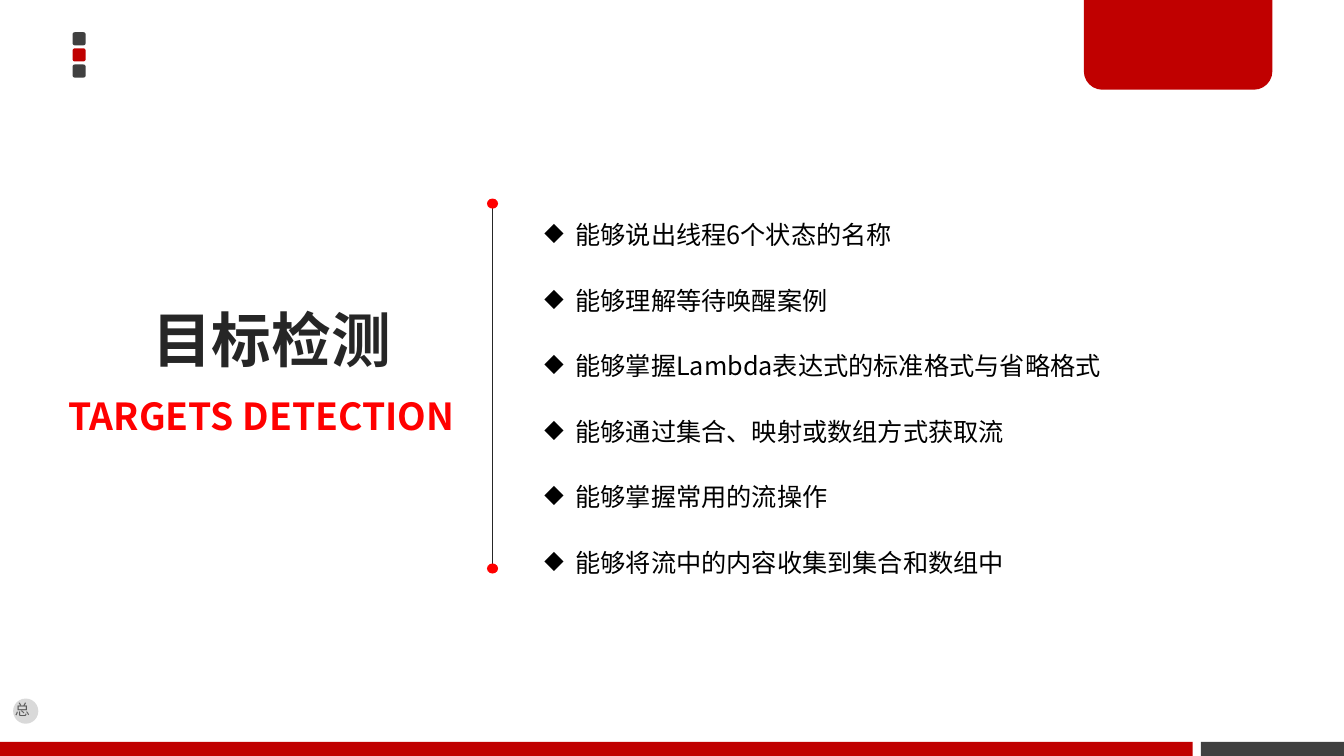
from lxml import etree
from pptx import Presentation
from pptx.dml.color import RGBColor
from pptx.enum.shapes import MSO_CONNECTOR, MSO_SHAPE
from pptx.enum.text import MSO_ANCHOR, PP_ALIGN
from pptx.oxml.ns import qn
from pptx.util import Inches, Pt

RECTANGLE, ROUNDED, OVAL = MSO_SHAPE.RECTANGLE, MSO_SHAPE.ROUNDED_RECTANGLE, MSO_SHAPE.OVAL
TAB = MSO_SHAPE.ROUND_2_SAME_RECTANGLE
STRAIGHT = MSO_CONNECTOR.STRAIGHT
TOP, MIDDLE = MSO_ANCHOR.TOP, MSO_ANCHOR.MIDDLE
LEFT, CENTER = PP_ALIGN.LEFT, PP_ALIGN.CENTER

RED = RGBColor(0xC0, 0x00, 0x00)
BRIGHT_RED = RGBColor(0xFF, 0x00, 0x00)
DARK = RGBColor(0x40, 0x40, 0x40)
INK = RGBColor(0x26, 0x26, 0x26)
BLACK = RGBColor(0x00, 0x00, 0x00)
GREY = RGBColor(0x59, 0x59, 0x59)
PALE = RGBColor(0xD9, 0xD9, 0xD9)

HEADING_FONT, BODY_FONT = "Noto Sans CJK SC", "Noto Sans CJK JP"
WIDTH, HEIGHT = 13.33, 7.5
BAR_TOP, BAR_SPLIT, BAR_GAP = 7.36, 11.83, 0.08
RULE_X, RULE_TOP, RULE_BOTTOM = 4.88, 2.02, 5.64
GOALS = [
    "能够说出线程6个状态的名称",
    "能够理解等待唤醒案例",
    "能够掌握Lambda表达式的标准格式与省略格式",
    "能够通过集合、映射或数组方式获取流",
    "能够掌握常用的流操作",
    "能够将流中的内容收集到集合和数组中",
]


def add_block(page, kind, left, top, width, height, color):
    block = page.shapes.add_shape(kind, *map(Inches, (left, top, width, height)))
    block.shadow.inherit = False
    block.fill.solid()
    block.fill.fore_color.rgb = color
    block.line.fill.background()
    return block


def add_rule(page, x, top, bottom):
    rule = page.shapes.add_connector(STRAIGHT, *map(Inches, (x, top, x, bottom)))
    rule.line.color.rgb = INK
    rule.line.width = Pt(0.75)
    etree.SubElement(rule._element.spPr, qn("a:effectLst"))


def style_paragraph(para, font_name, size, color, bold=False):
    font = para.font
    font.name, font.size, font.bold = font_name, Pt(size), bold
    font.color.rgb = color
    defaults = para._p.pPr.find(qn("a:defRPr"))
    etree.SubElement(defaults, qn("a:ea")).set("typeface", font_name)


def add_bullet(para, indent):
    props = para._p.get_or_add_pPr()
    props.set("marL", str(Inches(indent)))
    props.set("indent", str(-Inches(indent)))
    etree.SubElement(props, qn("a:buChar")).set("char", "◆")


def place_text(box, left, top, width, height, anchor=TOP):
    box.left, box.top, box.width, box.height = map(Inches, (left, top, width, height))
    frame = box.text_frame
    frame.word_wrap = True
    frame.vertical_anchor = anchor
    return frame


def add_label(page, text, area, size, color, anchor=TOP, bold=False):
    frame = place_text(page.shapes.add_textbox(0, 0, 0, 0), *area, anchor)
    para = frame.paragraphs[0]
    para.text = text
    para.alignment = LEFT
    style_paragraph(para, HEADING_FONT, size, color, bold)


def add_title(page, text):
    frame = place_text(page.shapes.title, 1.28, 2.81, 2.83, 1.18, MIDDLE)
    para = frame.paragraphs[0]
    para.text = text
    para.alignment = CENTER
    para.line_spacing = 0.9
    style_paragraph(para, HEADING_FONT, 42.6, INK, True)


def add_goals(page, goals):
    frame = place_text(page.shapes.add_textbox(0, 0, 0, 0), 5.3, 1.78, 6.3, 4.04)
    for index, goal in enumerate(goals):
        para = frame.paragraphs[0] if index == 0 else frame.add_paragraph()
        para.text = goal
        para.line_spacing = Pt(46.8)
        add_bullet(para, 0.31)
        style_paragraph(para, BODY_FONT, 18, BLACK)


def main():
    deck = Presentation()
    deck.slide_width, deck.slide_height = Inches(WIDTH), Inches(HEIGHT)
    page = deck.slides.add_slide(deck.slide_layouts[5])

    # Corner squares and hanging tab
    for row, color in enumerate((DARK, RED, DARK)):
        add_block(page, ROUNDED, 0.72, 0.32 + 0.16 * row, 0.13, 0.13, color)
    tab = add_block(page, TAB, 10.75, -0.03, 1.87, 0.92, RED)
    tab.adjustments[0], tab.adjustments[1] = 0, 0.2

    # Footer bar
    add_block(page, RECTANGLE, 0, BAR_TOP, BAR_SPLIT, HEIGHT - BAR_TOP, RED)
    dark_left = BAR_SPLIT + BAR_GAP
    add_block(page, RECTANGLE, dark_left, BAR_TOP, WIDTH - dark_left, HEIGHT - BAR_TOP, DARK)

    # Heading
    add_title(page, "目标检测")
    add_label(page, "TARGETS DETECTION", (0.58, 3.75, 5.04, 0.75), 26.6, BRIGHT_RED, MIDDLE, True)

    # Divider with end dots
    add_rule(page, RULE_X, RULE_TOP, RULE_BOTTOM)
    for y in (RULE_TOP, RULE_BOTTOM):
        add_block(page, OVAL, RULE_X - 0.05, y - 0.05, 0.11, 0.1, BRIGHT_RED)

    # Learning goals and badge
    add_goals(page, GOALS)
    add_block(page, OVAL, 0.13, 6.93, 0.25, 0.25, PALE)
    add_label(page, "总", (0.05, 6.9, 0.42, 0.28), 10.7, GREY)

    deck.save("out.pptx")


if __name__ == "__main__":
    main()
